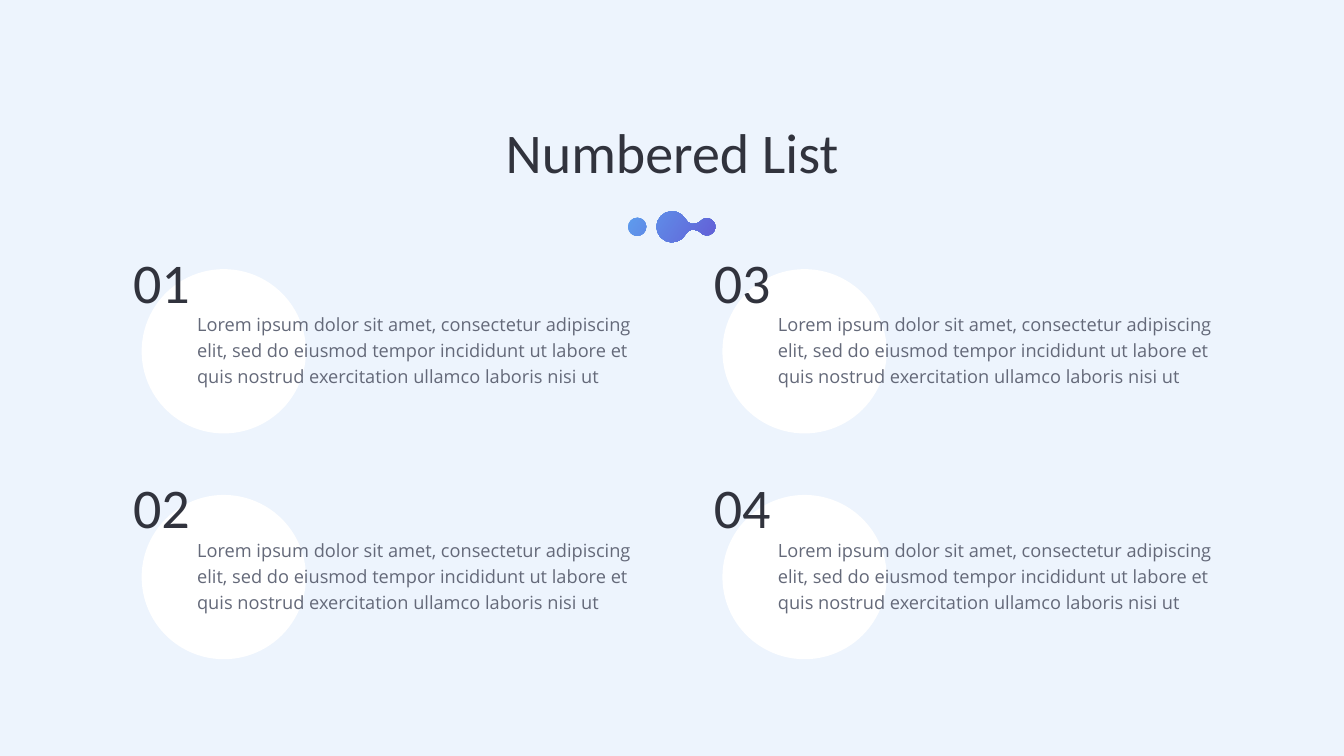
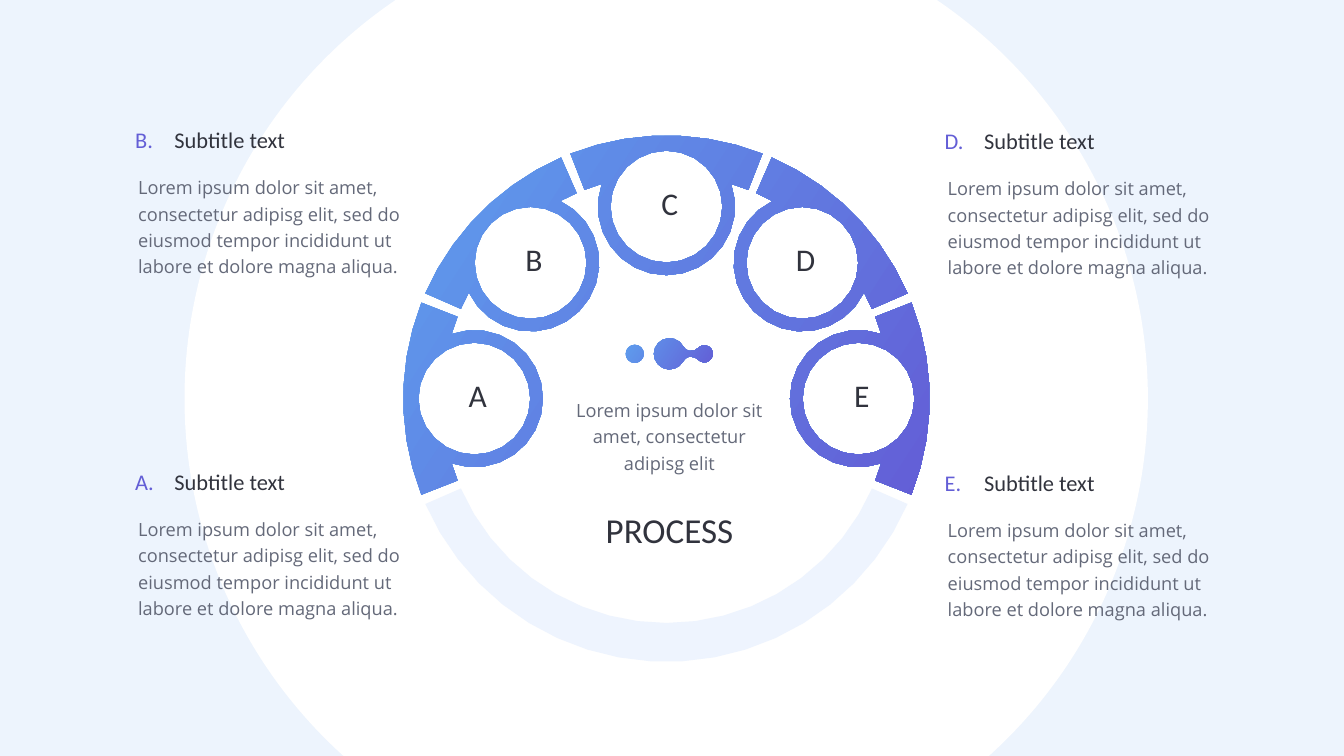
import math
import pptx
import pptx.util
import pptx.dml.color
import pptx.enum.shapes
import pptx.enum.text

Inches = pptx.util.Inches
rgb = pptx.dml.color.RGBColor.from_string
Anchor = pptx.enum.text.MSO_ANCHOR
Align = pptx.enum.text.PP_ALIGN

PALE, WHITE, RING_BASE = "EDF4FD", "FFFFFF", "EEF4FE"
DARK, GREY, BLUE, VIOLET = "31333D", "646979", "5E9EEE", "635ED6"
BODY = dict(font="Open Sans", size=26, colour=GREY, anchor=Anchor.TOP, spacing=1.2)


def write(slide, text, left, top, width, height, font="Calibri", size=32, colour=DARK,
          align=Align.LEFT, anchor=Anchor.MIDDLE, spacing=None):
    box = slide.shapes.add_textbox(Inches(left), Inches(top), Inches(width), Inches(height))
    frame = box.text_frame
    frame.word_wrap = True
    frame.auto_size = pptx.enum.text.MSO_AUTO_SIZE.SHAPE_TO_FIT_TEXT
    frame.vertical_anchor = anchor
    frame.margin_left = frame.margin_right = Inches(0.06)
    frame.margin_top = frame.margin_bottom = Inches(0.06)
    paragraph = frame.paragraphs[0]
    paragraph.alignment = align
    if spacing:
        paragraph.line_spacing = spacing
    run = paragraph.add_run()
    run.text = text
    run.font.name = font
    run.font.size = pptx.util.Pt(size)
    run.font.color.rgb = rgb(colour)


def arc(x, y, radius, start, end):
    flatness = min(0.01, radius * 0.02)
    widest = math.degrees(2 * math.acos(1 - flatness / radius))
    steps = math.ceil(abs(end - start) / widest)
    angles = [math.radians(start + (end - start) * i / steps) for i in range(steps + 1)]
    return [(x + radius * math.cos(a), y + radius * math.sin(a)) for a in angles]


deck = pptx.Presentation()
deck.slide_width, deck.slide_height = Inches(26.66), Inches(15)
list_slide, process_slide = [deck.slides.add_slide(deck.slide_layouts[6]) for _ in range(2)]
for slide in (list_slide, process_slide):
    slide.background.fill.solid()
    slide.background.fill.fore_color.rgb = rgb(PALE)

items = [(2.81 + 11.52 * column, 5.34 + 4.48 * row) for column in range(2) for row in range(2)]
discs = [(list_slide, x, y, 3.26) for x, y in items]
discs.append((process_slide, 3.66, -1.65, 19.11))
for slide, left, top, diameter in discs:
    disc = slide.shapes.add_shape(pptx.enum.shapes.MSO_SHAPE.OVAL, Inches(left), Inches(top),
                                  Inches(diameter), Inches(diameter))
    disc.shadow.inherit = False
    disc.fill.solid()
    disc.fill.fore_color.rgb = rgb(WHITE)
    disc.line.fill.background()

ring_x, ring_y, outer, inner = 13.22, 7.91, 5.22, 4.45
orbit, collar, hole = 3.81, 1.36, 1.11
half_segment = 21.4
joint = math.acos((orbit**2 + inner**2 - collar**2) / (2 * orbit * inner))
collar_start = math.degrees(math.atan2(inner * math.sin(joint), inner * math.cos(joint) - orbit))
joint = math.degrees(joint)

ring_base = [arc(ring_x, ring_y, outer, 23.6, 156.4) + arc(ring_x, ring_y, inner, 156.4, 23.6)]
steps = {}
segments = []
for index, letter in enumerate("ABCDE"):
    angle = 180 + 45 * index
    x = ring_x + orbit * math.cos(math.radians(angle))
    y = ring_y + orbit * math.sin(math.radians(angle))
    steps[letter] = x, y
    segments.append(
        arc(ring_x, ring_y, outer, angle - half_segment, angle + half_segment)
        + arc(ring_x, ring_y, inner, angle + half_segment, angle + joint)
        + arc(x, y, collar, angle + collar_start, angle + 360 - collar_start)
        + arc(ring_x, ring_y, inner, angle - joint, angle - half_segment))
    segments.append(arc(x, y, hole, 360, 0))

neck = [(0.32, 0.09), (0.38, 0.06), (0.43, 0.06), (0.5, 0.07)]
outlines = [(process_slide, ring_base, [RING_BASE]), (process_slide, segments, [BLUE, VIOLET])]
for slide, x, y in ((list_slide, 13.33, 4.5), (process_slide, 13.28, 7.02)):
    linked_dots = (arc(x, y, 0.31, 29, 331) + [(x + dx, y - dy) for dx, dy in neck]
                   + arc(x + 0.69, y, 0.17, -140, 140)
                   + [(x + dx, y + dy) for dx, dy in reversed(neck)])
    outlines.append((slide, [linked_dots, arc(x - 0.69, y, 0.18, 0, 360)], [BLUE, VIOLET]))

for slide, contours, colours in outlines:
    builder = None
    for contour in contours:
        points = [(Inches(x), Inches(y)) for x, y in contour]
        if builder is None:
            builder = slide.shapes.build_freeform(*points[0])
        else:
            builder.move_to(*points[0])
        builder.add_line_segments(points[1:], close=True)
    outline = builder.convert_to_shape()
    outline.shadow.inherit = False
    outline.line.fill.background()
    if len(colours) == 1:
        outline.fill.solid()
        outline.fill.fore_color.rgb = rgb(colours[0])
    else:
        outline.fill.gradient()
        outline.fill.gradient_angle = 327
        for stop, colour in zip(outline.fill.gradient_stops, colours):
            stop.color.rgb = rgb(colour)

write(list_slide, "Numbered List", 8.35, 2.27, 9.97, 1.44, size=80, align=Align.CENTER)
for number, (x, y) in enumerate(items, 1):
    write(list_slide, f"{number:02}", x - 0.23, y - 0.49, 2.37, 1.44, size=80)
    write(list_slide, "Lorem ipsum dolor sit amet, consectetur adipiscing elit, sed do eiusmod tempor "
          "incididunt ut labore et quis nostrud exercitation ullamco laboris nisi ut",
          x + 1.04, y + 0.73, 8.89, 1.67, **BODY)

for letter, (x, y) in steps.items():
    write(process_slide, letter, x - 0.41, y - 0.51, 0.95, 0.86, size=45, align=Align.CENTER)
write(process_slide, "PROCESS", 10.74, 10.04, 5.08, 0.94, size=50, align=Align.CENTER)
write(process_slide, "Lorem ipsum dolor sit amet, consectetur adipisg elit",
      11.18, 7.78, 4.2, 1.67, align=Align.CENTER, **BODY)

for left, top, letters in ((18.68, 2.47, "DE"), (2.62, 2.45, "BA")):
    for row, letter in enumerate(letters):
        y = top + 6.78 * row
        write(process_slide, f"{letter}.", left, y, 0.69, 0.64, colour=VIOLET)
        write(process_slide, "Subtitle text", left + 0.78, y, 3.31, 0.64)
        write(process_slide, "Lorem ipsum dolor sit amet, consectetur adipisg elit, sed do eiusmod "
              "tempor incididunt ut labore et dolore magna aliqua.",
              left + 0.06, y + 0.91, 5.47, 2.19, **BODY)

deck.save("out.pptx")
